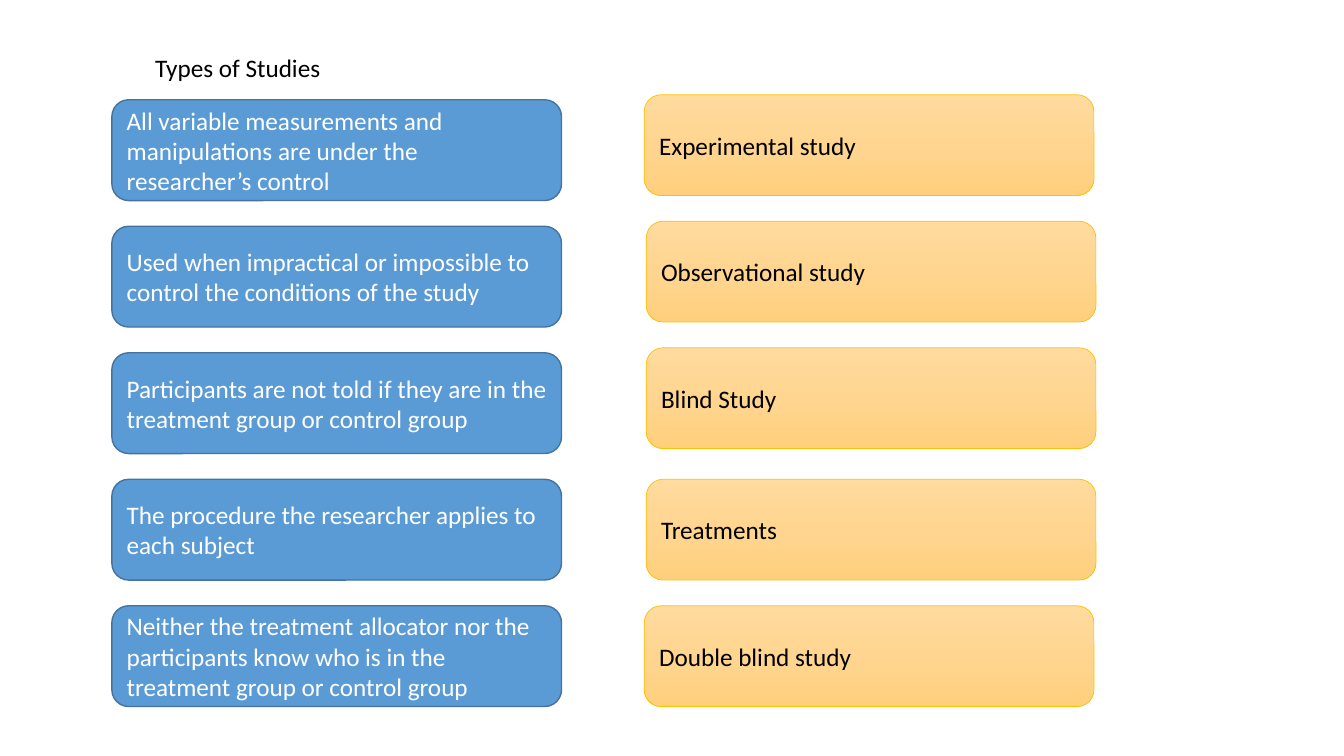
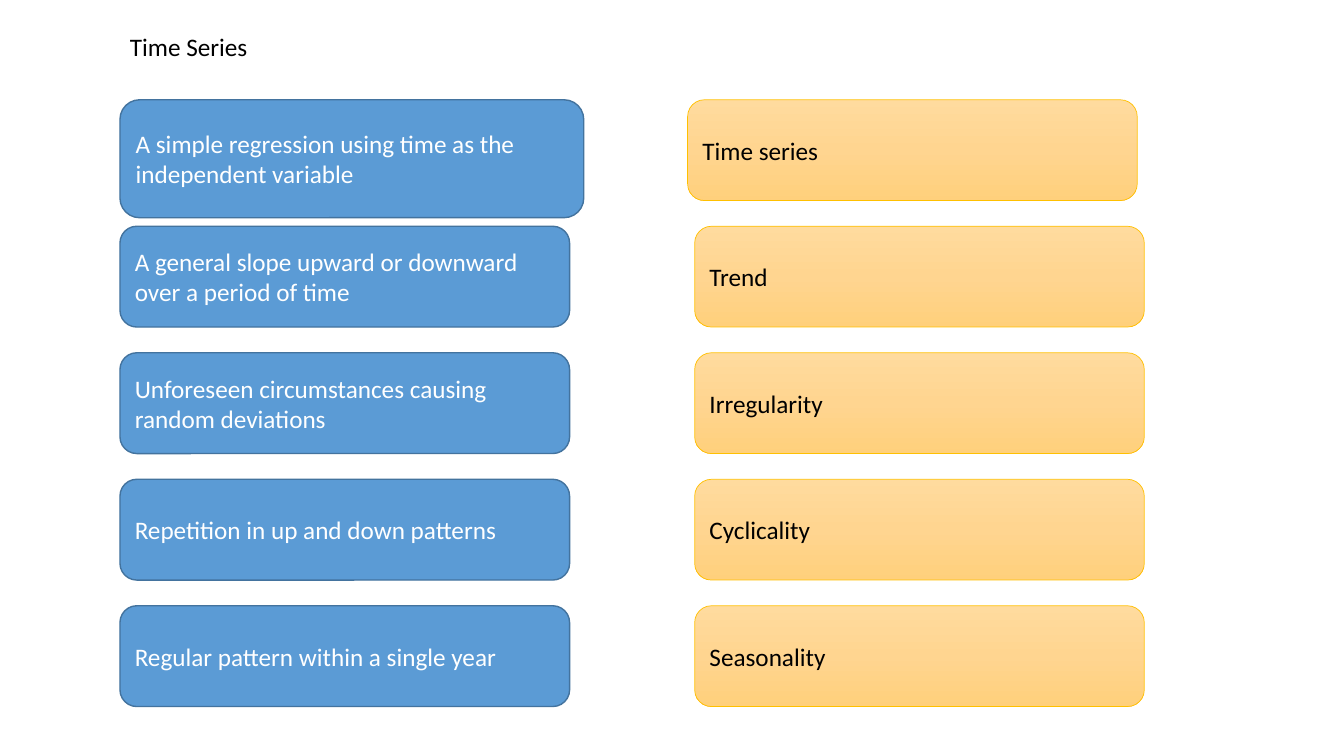
from copy import deepcopy
from dataclasses import dataclass

from pptx import Presentation
from pptx.dml.color import RGBColor
from pptx.enum.shapes import MSO_SHAPE as Shape
from pptx.enum.text import MSO_ANCHOR as Anchor, MSO_AUTO_SIZE as Auto, PP_ALIGN as Align
from pptx.oxml.ns import qn
from pptx.util import Inches, Pt

# Shared grid, in inches
WIDE, HIGH = 13.33, 7.5
TOP, PITCH = 0.99, 1.255
CARD = (4.46, 1.0)

# Shared look
FONT = {"name": "Calibri", "size": Pt(18)}
FRAME = {"word_wrap": True, "vertical_anchor": Anchor.MIDDLE}
LABEL = {"word_wrap": False, "auto_size": Auto.SHAPE_TO_FIT_TEXT}


@dataclass(frozen=True)
class Style:
    fills: tuple[str, ...]
    edge: str
    line: float
    ink: str


CLUE = Style(("5B9BD5",), "43739E", 1, "FFFFFF")
TERM = Style(("FFDB9E", "FFD590", "FFD07C"), "FFC000", 0.5, "000000")


@dataclass(frozen=True)
class Pair:
    clue: str
    term: str
    dx: float = 0  # shift of the term card
    dy: float = 0
    size: tuple[float, float] = CARD  # size of the clue card


@dataclass(frozen=True)
class Page:
    title: str
    box: tuple[float, float, float, float]
    cols: tuple[float, float]
    pairs: tuple[Pair, ...]


PAGES = (
    Page("Types of Studies", (1.44, 0.47, 1.86, 0.4), (1.11, 6.41), (
        Pair("All variable measurements and manipulations are under the researcher’s control",
             "Experimental study", -0.02, -0.05),
        Pair("Used when impractical or impossible to control the conditions of the study",
             "Observational study", dy=-0.05),
        Pair("Participants are not told if they are in the treatment group or control group",
             "Blind Study", dy=-0.05),
        Pair("The procedure the researcher applies to each subject", "Treatments"),
        Pair("Neither the treatment allocator nor the participants know who is in the "
             "treatment group or control group", "Double blind study", -0.02),
    )),
    Page("Time Series", (1.19, 0.26, 1.38, 0.4), (1.19, 6.89), (
        Pair("A simple regression using time as the independent variable",
             "Time series", -0.07, size=(4.6, 1.17)),
        Pair("A general slope upward or downward over a period of time", "Trend"),
        Pair("Unforeseen circumstances causing random deviations", "Irregularity"),
        Pair("Repetition in up and down patterns", "Cyclicality"),
        Pair("Regular pattern within a single year", "Seasonality"),
    )),
)


def tint(code: str) -> RGBColor:
    return RGBColor.from_string(code)


def apply(item, values: dict) -> None:
    for name, value in values.items():
        setattr(item, name, value)


def write(shape, text: str, ink: str, frame: dict) -> None:
    body = shape.text_frame
    apply(body, frame)
    body.text = text
    para = body.paragraphs[0]
    para.alignment = Align.LEFT
    font = para.runs[0].font
    apply(font, FONT)
    font.color.rgb = tint(ink)


def paint(shape, codes: tuple[str, ...]) -> None:
    fill = shape.fill
    if len(codes) == 1:
        fill.solid()
        fill.fore_color.rgb = tint(codes[0])
        return
    fill.gradient()
    fill.gradient_angle = 270
    stops = shape.element.spPr.find(qn("a:gradFill")).find(qn("a:gsLst"))
    for _ in codes[2:]:
        stops.insert(1, deepcopy(stops[0]))
    for i, (stop, code) in enumerate(zip(fill.gradient_stops, codes)):
        apply(stop, {"position": i / (len(codes) - 1)})
        stop.color.rgb = tint(code)


def card(slide, text: str, x: float, y: float, size: tuple[float, float], style: Style) -> None:
    shape = slide.shapes.add_shape(Shape.ROUNDED_RECTANGLE, *map(Inches, (x, y, *size)))
    shape.shadow.inherit = False
    paint(shape, style.fills)
    shape.line.color.rgb = tint(style.edge)
    shape.line.width = Pt(style.line)
    write(shape, text, style.ink, FRAME)


def draw(deck, page: Page) -> None:
    slide = deck.slides.add_slide(deck.slide_layouts[6])
    # Title
    write(slide.shapes.add_textbox(*map(Inches, page.box)), page.title, "000000", LABEL)
    # Clue and term cards, row by row
    left, right = page.cols
    for row, pair in enumerate(page.pairs):
        y = TOP + row * PITCH
        card(slide, pair.clue, left, y, pair.size, CLUE)
        card(slide, pair.term, right + pair.dx, y + pair.dy, CARD, TERM)


def main() -> None:
    deck = Presentation()
    apply(deck, {"slide_width": Inches(WIDE), "slide_height": Inches(HIGH)})
    for page in PAGES:
        draw(deck, page)
    deck.save("out.pptx")


if __name__ == "__main__":
    main()
